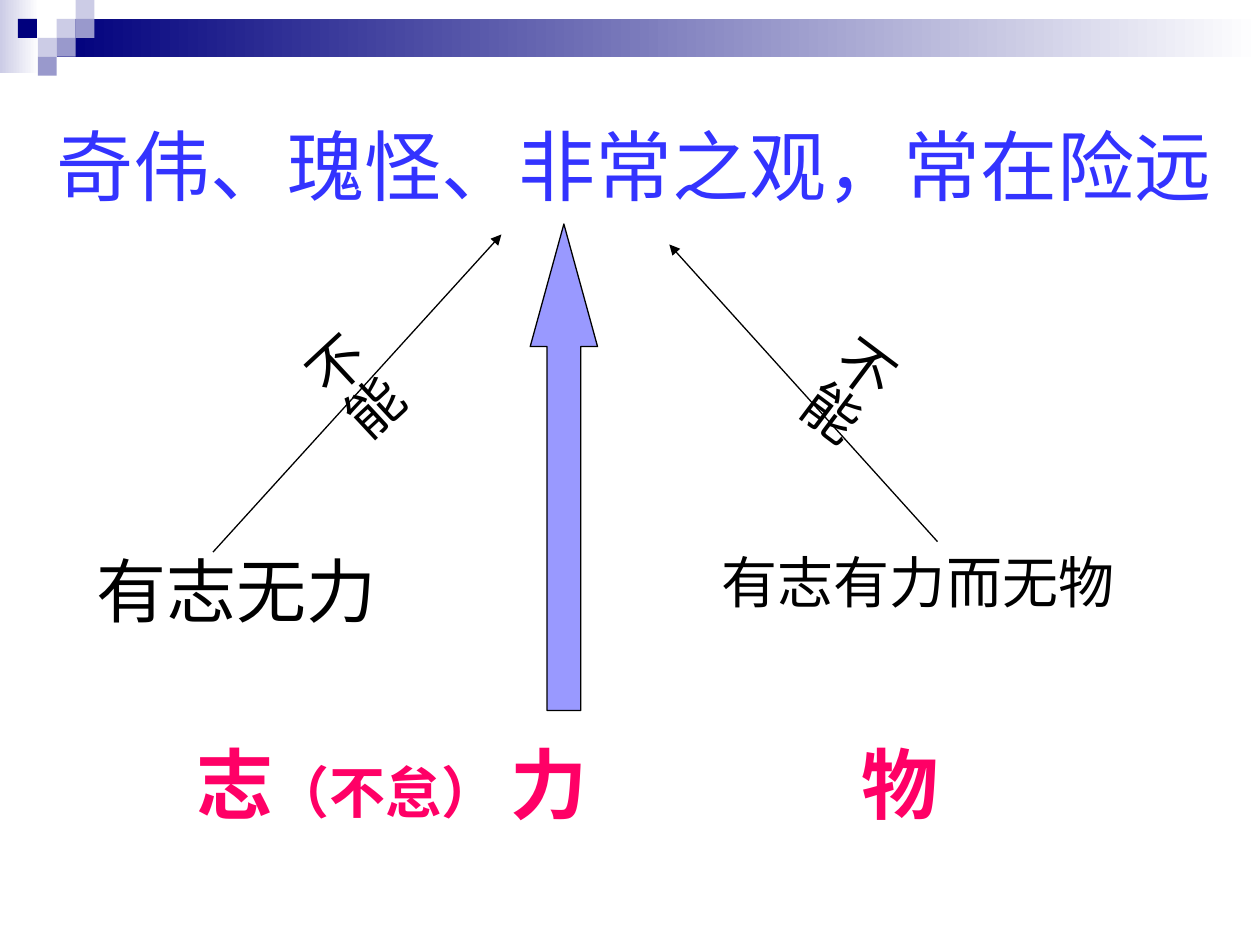
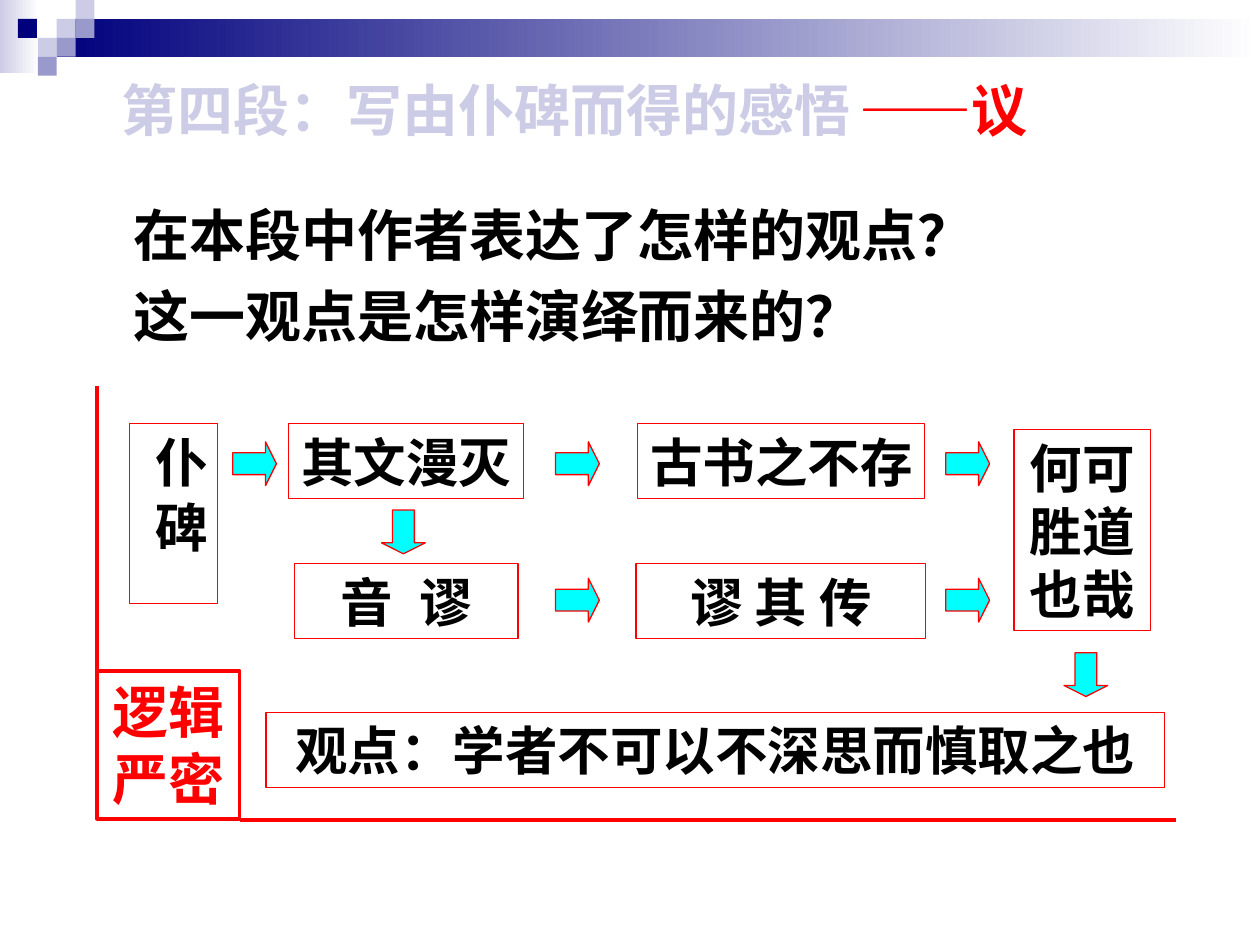
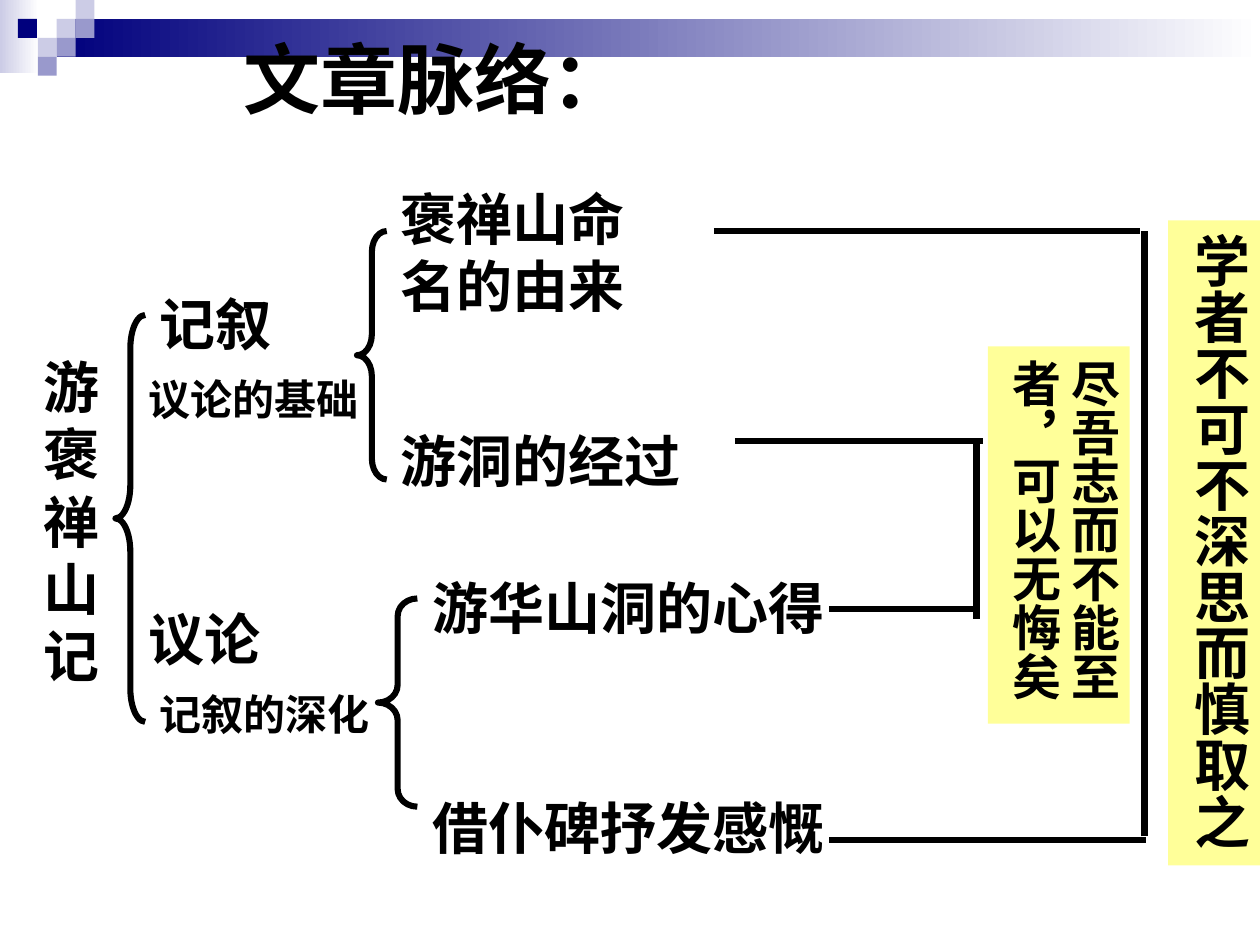
"""Build three lesson slides on an essay about a mountain journey."""
from lxml import etree
from pptx import Presentation
from pptx.dml.color import RGBColor
from pptx.enum import shapes, text
from pptx.oxml import ns
from pptx.util import Pt

NAVY, LILAC, MAUVE, WHITE = "00007D", "CCCCE6", "9999CC", "FFFFFF"
BLACK, RED, PINK, BLUE = "000000", "FF0000", "FF0066", "3333FF"
VIOLET, CYAN, YELLOW = "9999FF", "00FFFF", "FFFF99"
ARIAL, NOTO, TIMES = "Arial", "Noto Sans CJK SC", "Times New Roman"
LEFT, CENTER = text.PP_ALIGN.LEFT, text.PP_ALIGN.CENTER
TOP, MIDDLE = text.MSO_ANCHOR.TOP, text.MSO_ANCHOR.MIDDLE
SHAPE = shapes.MSO_SHAPE
colour = RGBColor.from_string


def write(shape, content, size, font=ARIAL, ink=BLACK, bold=True, align=LEFT,
          anchor=TOP, vertical=False, wrap=True):
    """Fill a shape with text, one paragraph a line, and return its text frame."""
    frame = shape.text_frame
    frame.text = content
    frame.auto_size = text.MSO_AUTO_SIZE.NONE
    frame.word_wrap = wrap
    frame.vertical_anchor = anchor
    across, down = (3.6, 7.2) if vertical else (7.2, 3.6)
    frame.margin_left = frame.margin_right = Pt(across)
    frame.margin_top = frame.margin_bottom = Pt(down)
    if vertical:
        shape.element.txBody.bodyPr.set("vert", "eaVert")
    for paragraph in frame.paragraphs:
        paragraph.alignment = align
        paragraph.font.name = font
        paragraph.font.size = Pt(size)
        paragraph.font.bold = bold
        paragraph.font.color.rgb = colour(ink)
    return frame


def draw_line(slide, ends, ink, width, arrow=False):
    """Draw a straight line, with an arrowhead at its end if asked."""
    line = slide.shapes.add_connector(shapes.MSO_CONNECTOR.STRAIGHT, *map(Pt, ends))
    line.line.color.rgb = colour(ink)
    line.line.width = Pt(width)
    if arrow:
        etree.SubElement(line.line._get_or_add_ln(), ns.qn("a:tailEnd"), type="triangle")
    etree.SubElement(line.element.spPr, ns.qn("a:effectLst"))


presentation = Presentation()
presentation.slide_width, presentation.slide_height = Pt(720), Pt(540)
layout = presentation.slide_layouts.get_by_name("Title Only")
slides = [presentation.slides.add_slide(layout) for _ in range(3)]
journey, argument, outline = slides

# The header is drawn once and moved to the master.
unit = 10.8
header = [(0, 0, 22.3, 41.8, (LILAC, WHITE)), (3 * unit, unit, 720 - 3 * unit, 2 * unit, (NAVY, WHITE))]
header += [(column * unit, row * unit, unit, unit, (tint,)) for column, row, tint in [
    (3, 1, LILAC), (4, 0, LILAC), (4, 1, MAUVE), (2, 2, LILAC),
    (0.95, 1, NAVY), (3, 2, MAUVE), (2, 3, MAUVE)]]
master_tree = presentation.slide_master.shapes.element
for position, (*place, tints) in enumerate(header, start=2):
    shape = journey.shapes.add_shape(SHAPE.RECTANGLE, *map(Pt, place))
    shape.shadow.inherit = False
    shape.line.fill.background()
    if len(tints) == 2:
        shape.fill.gradient()
        shape.fill.gradient_angle = 0
        for stop, offset, tint in zip(shape.fill.gradient_stops, (0, 1), tints):
            stop.position = offset
            stop.color.rgb = colour(tint)
    else:
        shape.fill.solid()
        shape.fill.fore_color.rgb = colour(tints[0])
    master_tree.insert(position, shape.element)

titles = [
    ("奇伟、瑰怪、非常之观，常在险远", (25, 49, 695, 90), 44, ARIAL, BLUE, False, LEFT, MIDDLE),
    ("第四段：写由仆碑而得的感悟", (62.5, 39.5, 464.5, 46), 32, NOTO, LILAC, True, LEFT, TOP),
    ("文章脉络：", (0, 0, 499, 88.5), 44, TIMES, BLACK, True, CENTER, MIDDLE)]
for slide, (content, place, *style) in zip(slides, titles):
    title = slide.shapes.title
    title.left, title.top, title.width, title.height = map(Pt, place)
    write(title, content, *style)

for content, size, place in [("有志无力", 40, (48, 309.5, 215, 55.5)),
                             ("有志有力而无物", 32, (405.5, 309.5, 260.5, 46))]:
    write(journey.shapes.add_textbox(*map(Pt, place)), content, size, bold=False)
for ends in [(121.7, 315.5, 286.5, 134), (535.7, 309.5, 382.5, 139.7)]:
    draw_line(journey, ends, BLACK, 0.75, arrow=True)
for rotation, place in [(317.1, (180.7, 181.5, 52.5, 100)), (36.9, (443.5, 177, 52.5, 119))]:
    box = journey.shapes.add_textbox(*map(Pt, place))
    box.rotation = rotation
    write(box, "不能", 32, bold=False, vertical=True)

needs = journey.shapes.add_textbox(Pt(105), Pt(417.5), Pt(510.5), Pt(60.5))
paragraph = write(needs, "", 44, ink=PINK).paragraphs[0]
tab_list = etree.Element(ns.qn("a:tabLst"))
etree.SubElement(tab_list, ns.qn("a:tab"), pos=str(Pt(380)), algn="l")
paragraph._p.get_or_add_pPr().insert(0, tab_list)
for content, size in [("志", 44), ("（不怠） ", 32), ("力\t物", 44)]:
    run = paragraph.add_run()
    run.text = content
    run.font.size = Pt(size)

effort = journey.shapes.add_shape(SHAPE.UP_ARROW, Pt(303), Pt(128), Pt(38.5), Pt(278))
effort.adjustments[1] = 1.82
effort.shadow.inherit = False
effort.fill.solid()
effort.fill.fore_color.rgb = colour(VIOLET)
effort.line.color.rgb = colour(BLACK)
effort.line.width = Pt(0.75)

question = argument.shapes.add_textbox(Pt(69), Pt(103.5), Pt(570), Pt(99.5))
for paragraph in write(question, "在本段中作者表达了怎样的观点？\n这一观点是怎样演绎而来的？", 32, NOTO).paragraphs:
    paragraph.line_spacing = 1.2

upper, lower = 242, 322
steps = [
    ("仆 碑", (74, upper, 50.5, 103), NOTO, dict(align=CENTER, vertical=True)),
    ("其文漫灭", (165, upper, 134, 43), TIMES, dict(wrap=False)),
    ("音 谬", (168.5, lower, 127.5, 43), NOTO, dict(align=CENTER)),
    ("古书之不存", (364.5, upper, 164, 43), TIMES, dict(wrap=False)),
    ("谬 其 传", (363.5, lower, 165.5, 43), NOTO, dict(align=CENTER)),
    ("何可胜道也哉", (579.5, 245.5, 78, 115), TIMES, dict(align=CENTER)),
    ("观点：学者不可以不深思而慎取之也", (152, 407, 513.5, 43), TIMES, dict(align=CENTER)),
    ("逻辑严密", (55.5, 383.5, 81.5, 84.5), TIMES, dict(align=CENTER, ink=RED))]
for content, place, font, options in steps:
    box = argument.shapes.add_shape(SHAPE.RECTANGLE, *map(Pt, place))
    box.shadow.inherit = False
    box.fill.background()
    emphasised = "ink" in options
    box.line.color.rgb = colour(RED)
    box.line.width = Pt(2 if emphasised else 0.75)
    frame = write(box, content, 32 if emphasised else 30, font, **options)
    if content == "音 谬":
        frame.paragraphs[0].runs[0].font._element.set("spc", "400")

for left, top, rotation in [(133, 252.5, 0), (317.5, 252.5, 0), (218, 291.5, 90), (317.5, 330.5, 0),
                            (540.5, 252.5, 0), (540.5, 330.5, 0), (608, 373, 90)]:
    arrow = argument.shapes.add_shape(SHAPE.RIGHT_ARROW, Pt(left), Pt(top), Pt(25), Pt(25))
    arrow.adjustments[1] = 0.25
    arrow.rotation = rotation
    arrow.shadow.inherit = False
    arrow.fill.solid()
    arrow.fill.fore_color.rgb = colour(CYAN)
    arrow.line.color.rgb = colour(RED)
    arrow.line.width = Pt(0.75)
for ends in [(137, 468.5, 672, 468.5), (55.5, 220.5, 55.5, 386.5)]:
    draw_line(argument, ends, RED, 2)

genre = argument.shapes.add_textbox(Pt(484), Pt(39.5), Pt(230.5), Pt(46))
paragraph = write(genre, "", 32, NOTO, RED).paragraphs[0]
for content, font in [("——", NOTO), ("议", TIMES)]:
    run = paragraph.add_run()
    run.text = content
    run.font.name = font

for content, size, place in [
        ("游褒禅山记", 32, (18, 198, 38, 199.5)),
        ("记叙", 32, (84, 162, 98.5, 46)),
        ("议论", 32, (78, 342, 83.5, 46)),
        ("议论的基础", 24, (78, 210, 181.5, 36)),
        ("记叙的深化", 24, (84, 390, 181.5, 36)),
        ("游华山洞的心得", 32, (240, 324, 255, 46)),
        ("借仆碑抒发感慨", 32, (240, 450, 266.5, 46)),
        ("褒禅山命名的由来", 32, (222, 102, 153.5, 84.5)),
        ("游洞的经过", 32, (222, 240, 217.5, 46))]:
    write(outline.shapes.add_textbox(*map(Pt, place)), content, size)

for curve, place in [(1.12, (66, 180, 17, 232.5)), (0.7, (204, 132, 17, 142)), (0.45, (216, 342, 22.5, 119))]:
    brace = outline.shapes.add_shape(SHAPE.LEFT_BRACE, *map(Pt, place))
    brace.adjustments[0] = curve
    brace.shadow.inherit = False
    brace.fill.background()
    brace.line.color.rgb = colour(BLACK)
    brace.line.width = Pt(3.5)

for ends in [(420, 252, 561.5, 252), (558, 252, 558, 354), (474, 348, 559.5, 348),
             (474, 480, 655, 480), (654, 478, 654, 132), (408, 132, 651.5, 132)]:
    draw_line(outline, ends, BLACK, 3.5)

for content, size, place in [("尽吾志而不能至者，可以无悔矣", 28, (564.5, 198, 81, 215.5)),
                             ("学者不可不深思而慎取之", 32, (667.5, 126, 52.5, 368.5))]:
    panel = outline.shapes.add_shape(SHAPE.RECTANGLE, *map(Pt, place))
    panel.shadow.inherit = False
    panel.fill.solid()
    panel.fill.fore_color.rgb = colour(YELLOW)
    panel.line.fill.background()
    write(panel, content, size, vertical=True)

presentation.save("out.pptx")
